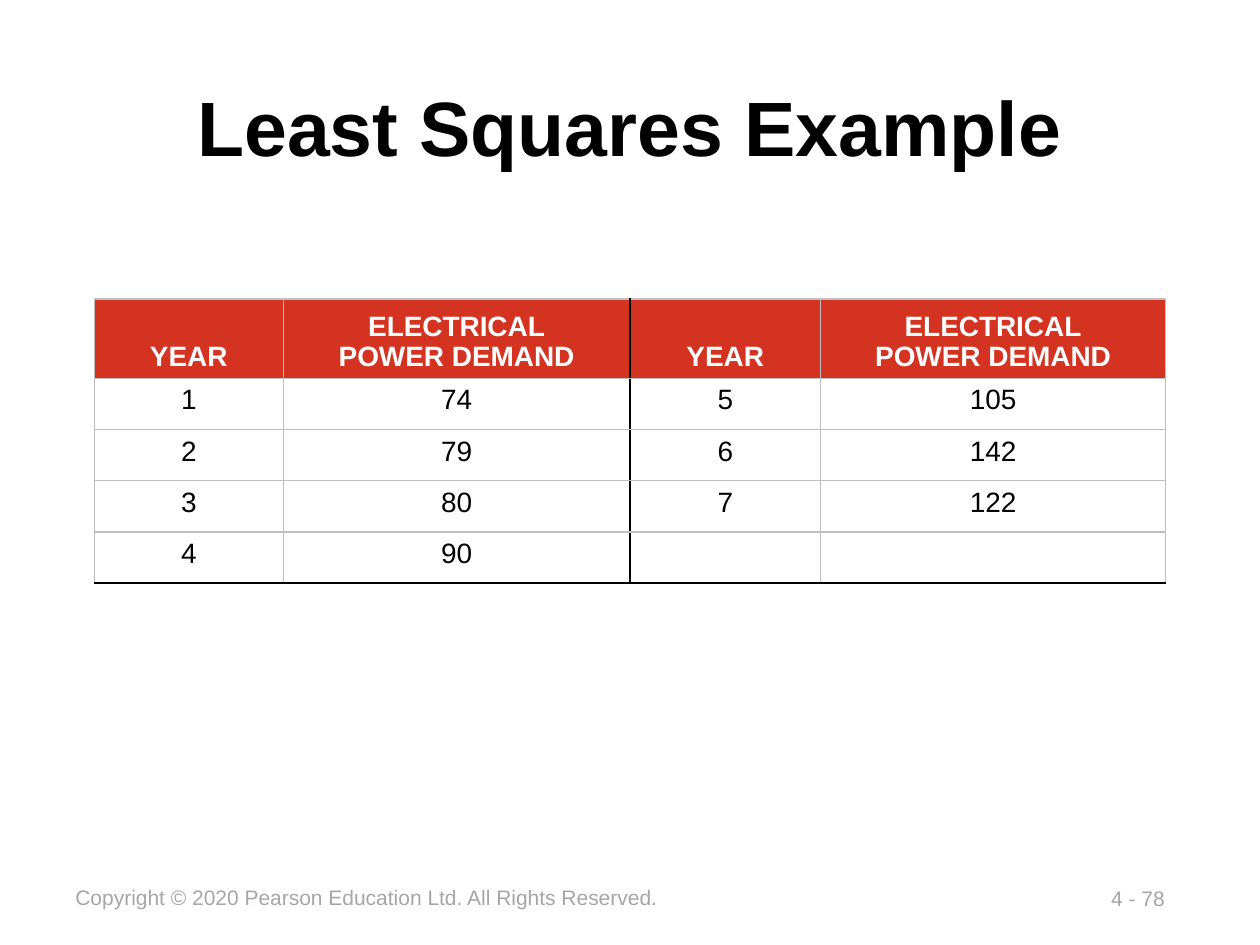
from lxml import etree
from pptx import Presentation, util as u
from pptx.dml.color import RGBColor
from pptx.enum import text as t
from pptx.oxml.ns import qn

HUES = {"ink": "000000", "paper": "FFFFFF", "head": "D33320", "rule": "BFBFBF", "note": "A6A6A6"}
HEAD = ["YEAR", "ELECTRICAL\nPOWER DEMAND"] * 2
ROWS = [
    ["1", "74", "5", "105"],
    ["2", "79", "6", "142"],
    ["3", "80", "7", "122"],
    ["4", "90", "", ""],
]


def write(frame, words, size=16, hue="ink", bold=False, align=t.PP_ALIGN.CENTER, space=None):
    """Fill a text frame with formatted paragraphs."""
    frame.text = words
    for para in frame.paragraphs:
        para.alignment = align
        para.line_spacing = space
        for font in [para.font] + [run.font for run in para.runs]:
            font.name, font.size, font.bold = "Arial", u.Pt(size), bold
            font.color.rgb = RGBColor.from_string(HUES[hue])


def edge(cell, side, hue):
    """Draw one border of a table cell."""
    line = etree.SubElement(cell._tc.get_or_add_tcPr(), qn(f"a:ln{side}"), w=str(u.Pt(1)))
    fill = etree.SubElement(line, qn("a:solidFill"))
    etree.SubElement(fill, qn("a:srgbClr"), val=HUES[hue])


class Deck:
    """Hold the style and the current slide."""

    def __init__(self):
        self.file = Presentation()
        self.file.slide_width, self.file.slide_height = u.Cm(25.4), u.Cm(19.05)
        self.page = self.file.slides.add_slide(self.file.slide_layouts[5])

    def title(self, words, *box):
        head = self.page.shapes.title
        head.left, head.top, head.width, head.height = map(u.Cm, box)
        head.text_frame.vertical_anchor = t.MSO_ANCHOR.MIDDLE
        write(head.text_frame, words, size=44, bold=True)

    def note(self, words, *box):
        frame = self.page.shapes.add_textbox(*map(u.Cm, box)).text_frame
        frame.word_wrap = False
        frame.auto_size = t.MSO_AUTO_SIZE.SHAPE_TO_FIT_TEXT
        write(frame, words, size=12, hue="note", align=t.PP_ALIGN.LEFT)

    def table(self, rows, left, top, wides, highs):
        box = map(u.Cm, (left, top, sum(wides), sum(highs)))
        grid = self.page.shapes.add_table(len(rows), len(wides), *box).table
        for col, wide in zip(grid.columns, wides):
            col.width = u.Cm(wide)
        for row, high in zip(grid.rows, highs):
            row.height = u.Cm(high)
        for r, row in enumerate(rows):
            for c, words in enumerate(row):
                self.cell(grid.cell(r, c), words, r == 0, r == len(rows) - 1, c)

    def cell(self, cell, words, head, last, col):
        edge(cell, "L", "ink" if col == 2 else "rule")
        edge(cell, "R", "ink" if col == 1 else "rule")
        edge(cell, "T", "rule")
        edge(cell, "B", "ink" if last else "rule")
        if head:
            cell.fill.solid()
            cell.fill.fore_color.rgb = RGBColor.from_string(HUES["head"])
            cell.vertical_anchor = t.MSO_ANCHOR.BOTTOM
            write(cell.text_frame, words, hue="paper", bold=True, space=0.95)
        else:
            cell.fill.background()
            cell.vertical_anchor = t.MSO_ANCHOR.TOP
            write(cell.text_frame, words)


def main():
    """Build and save the slide."""
    deck = Deck()
    deck.note("4 - 78", 22.15, 17.73, 1.65, 0.76)
    deck.note("Copyright © 2020 Pearson Education Ltd. All Rights Reserved.", 1.27, 17.7, 12.34, 0.76)
    deck.title("Least Squares Example", 1.9, 1.24, 21.6, 2.57)
    deck.table([HEAD] + ROWS, 1.9, 6.03, [3.81, 6.99, 3.84, 6.96], [1.6] + [1.03] * len(ROWS))
    deck.file.save("out.pptx")


if __name__ == "__main__":
    main()
